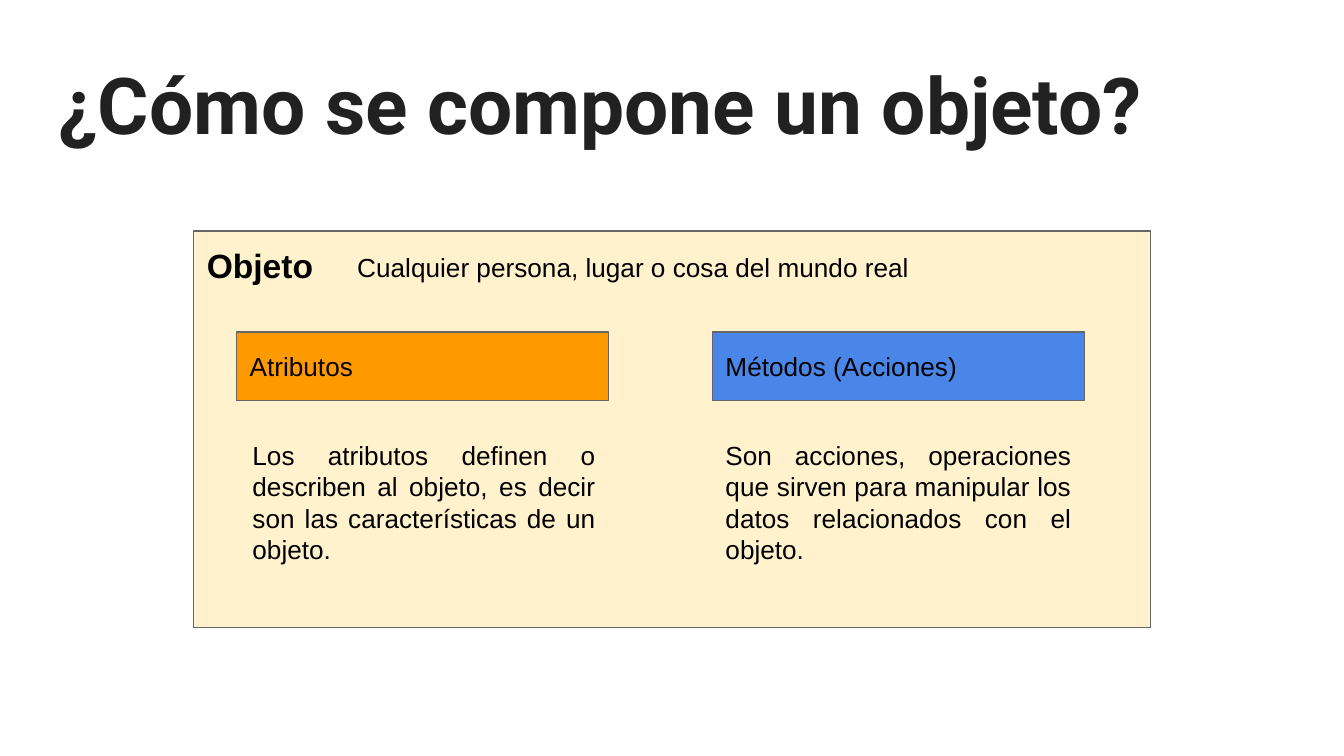
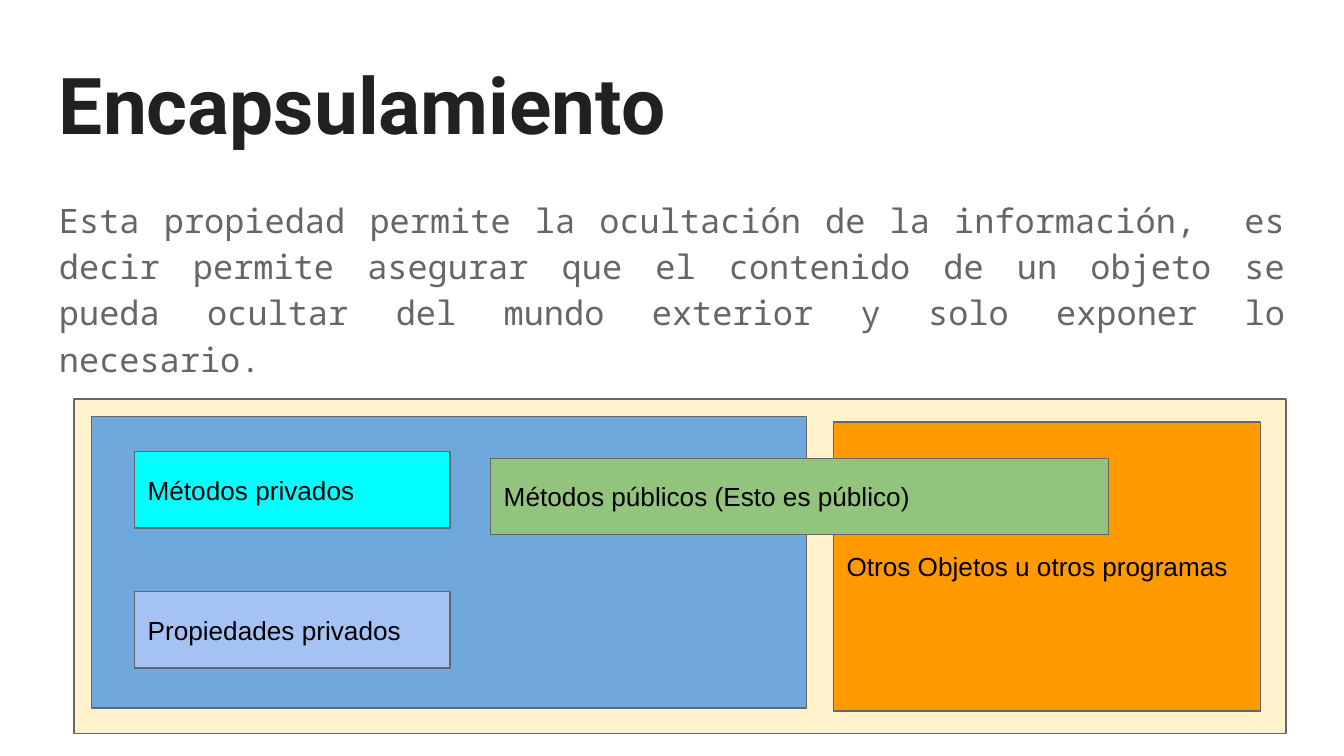
from pptx import Presentation
from pptx.dml.color import RGBColor as Rgb
from pptx.enum.shapes import MSO_SHAPE as Shape
from pptx.enum.text import MSO_ANCHOR as Anchor, PP_ALIGN as Align
from pptx.util import Inches, Pt

# Shared look
INK, BLACK, GRAY = "212121", "000000", "666666"
CREAM, ORANGE = "FFF2CC", "FF9900"
BLUE, SKY, CYAN, PALE, GREEN = "4A86E8", "6FA8DC", "00FFFF", "A4C2F4", "93C47D"
PAD = 0.1


def color(code):
    return Rgb.from_string(code)


def write(shape, text, size=14, font="Arial", tint=BLACK, bold=False,
          align=Align.LEFT, anchor=Anchor.TOP, space=1.0):
    frame = shape.text_frame
    frame.word_wrap = True
    frame.vertical_anchor = anchor
    frame.margin_left = frame.margin_right = Inches(PAD)
    frame.margin_top = frame.margin_bottom = Inches(PAD)
    par = frame.paragraphs[0]
    par.text = text
    par.alignment = align
    par.line_spacing = space
    par.font.size = Pt(size)
    par.font.name = font
    par.font.bold = bold
    par.font.color.rgb = color(tint)


def label(slide, box, text, **style):
    shape = slide.shapes.add_textbox(*map(Inches, box))
    write(shape, text, **style)


def block(slide, box, fill, text="", **style):
    shape = slide.shapes.add_shape(Shape.RECTANGLE, *map(Inches, box))
    shape.shadow.inherit = False
    shape.fill.solid()
    shape.fill.fore_color.rgb = color(fill)
    shape.line.color.rgb = color(GRAY)
    shape.line.width = Pt(0.75)
    if text:
        write(shape, text, **{"anchor": Anchor.MIDDLE, **style})


def start(deck, title):
    """Add a blank slide with the shared title."""
    slide = deck.slides.add_slide(deck.slide_layouts[6])
    slide.background.fill.solid()
    slide.background.fill.fore_color.rgb = color("FFFFFF")
    label(slide, (0.34, 0.32, 9.32, 0.88), title,
          size=42, font="Roboto", tint=INK, bold=True)
    return slide


def object_card(slide, box):
    """Object panel with a column for each of its two parts."""
    x, y, w, h = box
    block(slide, box, CREAM, "Objeto", size=18, bold=True, anchor=Anchor.TOP)
    parts = [
        ("Atributos", ORANGE, 0.02, 1.24, "Los atributos definen o describen "
         "al objeto, es decir son las características de un objeto."),
        ("Métodos (Acciones)", BLUE, 0, 1.36, "Son acciones, operaciones que "
         "sirven para manipular los datos relacionados con el objeto."),
    ]
    wide, step = 2.77, 3.54
    for i, (name, fill, inset, tall, text) in enumerate(parts):
        left = x + 0.32 + i * step
        block(slide, (left, y + 0.75, wide, 0.51), fill, name)
        label(slide, (left + inset, y + 1.45, wide - inset, tall),
              text, align=Align.JUSTIFY)
    # Definition beside the heading
    label(slide, (x + 1.12, y + 0.05, 5.27, 0.45),
          "Cualquier persona, lugar o cosa del mundo real", align=Align.JUSTIFY)


def scope_map(slide, box):
    """Private side, outside programs and the public bridge between them."""
    x, y, w, h = box
    tall = 0.57
    block(slide, box, CREAM)
    block(slide, (x + 0.13, y + 0.13, 5.32, 2.17), SKY)
    # Private members
    members = [("Métodos privados", CYAN), ("Propiedades privados", PALE)]
    for i, (name, fill) in enumerate(members):
        block(slide, (x + 0.45, y + 0.39 + i * 1.04, 2.35, tall), fill, name)
    # Outside and bridge
    block(slide, (x + 5.65, y + 0.17, 3.18, 2.15), ORANGE,
          "Otros Objetos u otros programas")
    block(slide, (x + 3.1, y + 0.44, 4.6, tall), GREEN,
          "Métodos públicos (Esto es público)")


def main():
    # Widescreen, 16 to 9
    deck = Presentation()
    deck.slide_width = Inches(10)
    deck.slide_height = Inches(10 * 9 / 16)

    # Parts of an object
    slide = start(deck, "¿Cómo se compone un objeto?")
    object_card(slide, (1.44, 1.72, 7.12, 2.95))

    # Encapsulation
    slide = start(deck, "Encapsulamiento")
    label(slide, (0.34, 1.34, 9.32, 1.54),
          "Esta propiedad permite la ocultación de la información,  es decir "
          "permite asegurar que el contenido de un objeto se pueda ocultar "
          "del mundo exterior y solo exponer lo necesario. ",
          size=18, font="Noto Sans Mono", tint=GRAY,
          align=Align.JUSTIFY, space=1.15)
    scope_map(slide, (0.55, 2.97, 9.02, 2.49))

    deck.save("out.pptx")


if __name__ == "__main__":
    main()
